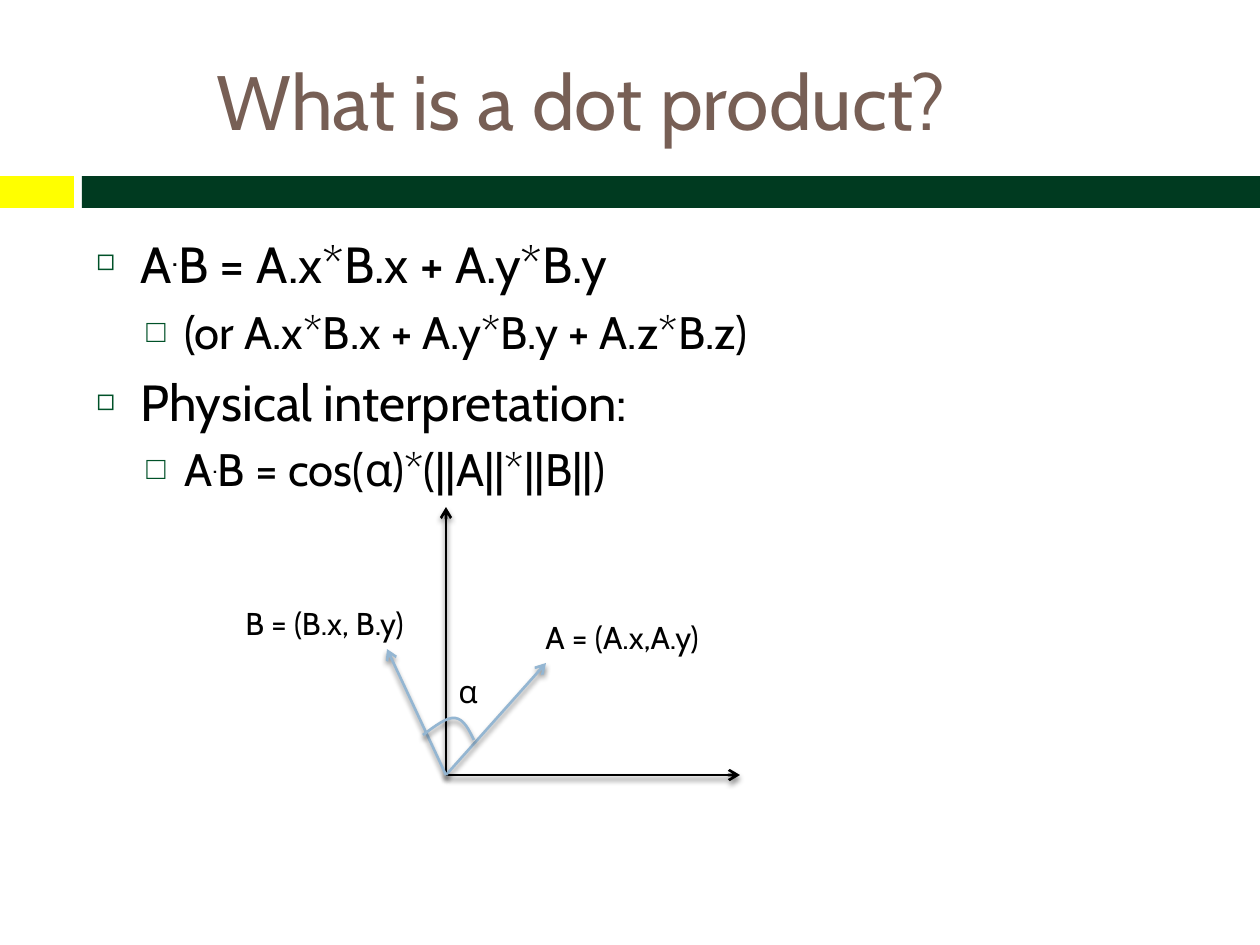
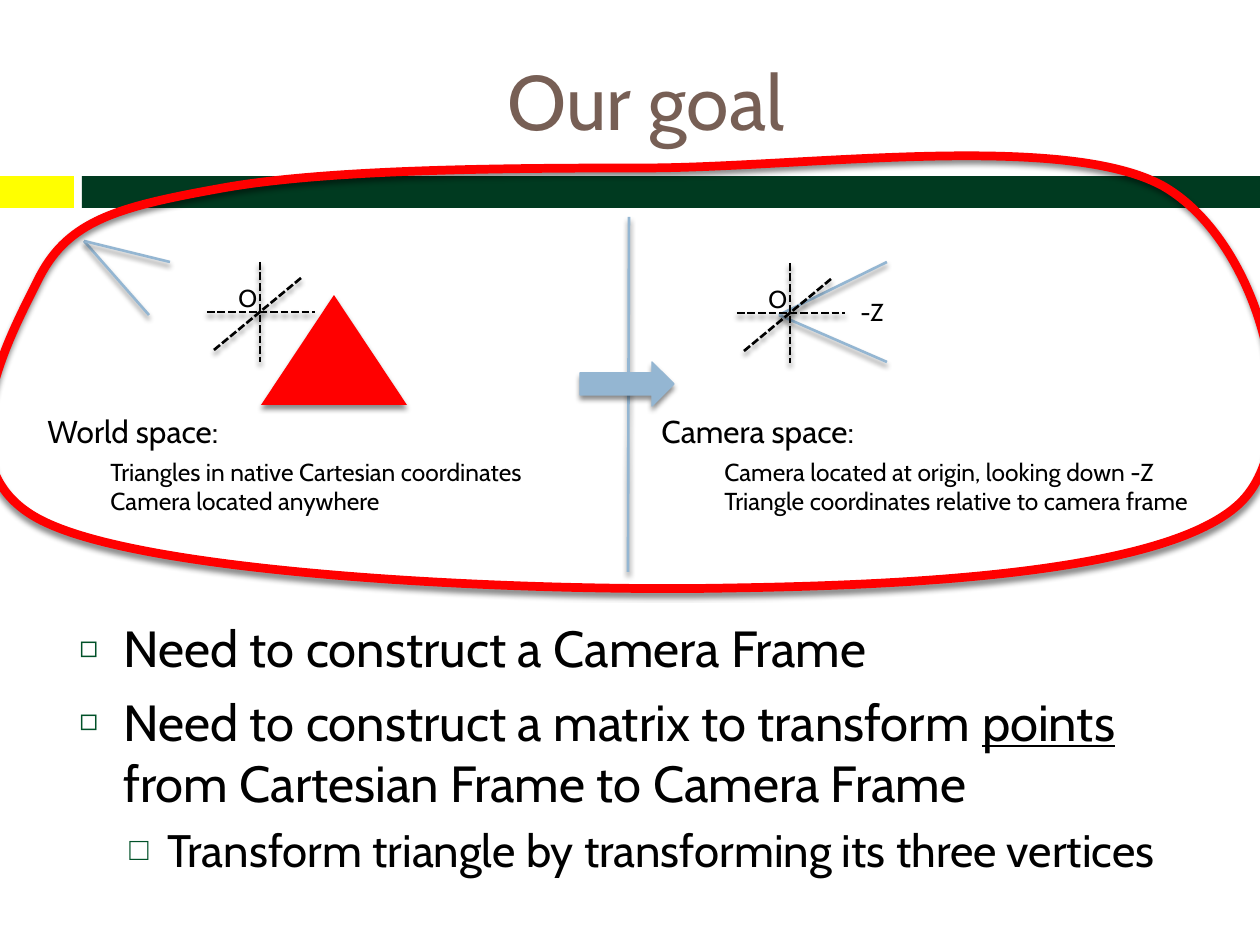
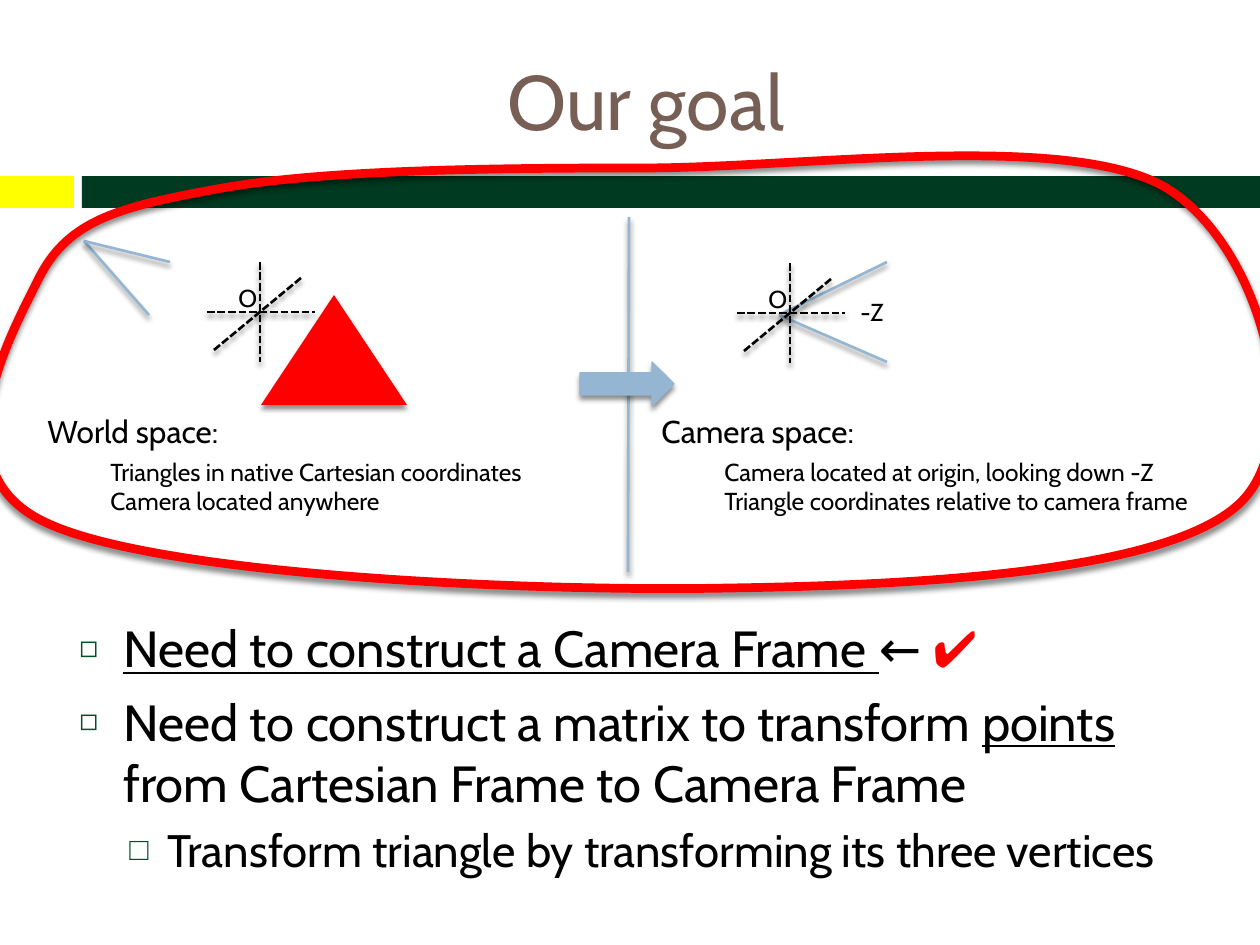
from dataclasses import dataclass
from lxml.etree import SubElement
from pptx import Presentation
from pptx.dml.color import RGBColor
from pptx.enum.dml import MSO_LINE
from pptx.enum.shapes import MSO_CONNECTOR, MSO_SHAPE
from pptx.enum.text import MSO_ANCHOR as Anchor, MSO_AUTO_SIZE as AutoSize, PP_ALIGN as Align
from pptx.oxml.ns import qn
from pptx.util import Emu, Pt

SCALE = 914400 / 126


@dataclass(frozen=True)
class Theme:
    """Colours, fonts and type sizes of the deck."""
    font: str = "Cabin"
    symbol_font: str = "Arial"
    ink: str = "000000"
    title: str = "775F55"
    band: str = "003A20"
    tab: str = "FFFF00"
    bullet: str = "005128"
    blue: str = "94B6D2"
    red: str = "FF0000"
    title_size: int = 44
    dot_size: int = 32
    body_size: int = 29
    sub_size: int = 26
    label_size: int = 18
    note_size: int = 14
    line_width: float = 1.5


THEME = Theme()


@dataclass(frozen=True)
class Box:
    """A region in px."""
    x: int
    y: int
    w: int
    h: int

    def inner(self, x, y, w, h):
        """Return a region placed relative to this one."""
        return Box(self.x + x, self.y + y, w, h)

    def point(self, x, y):
        """Return a slide point for a point inside this region."""
        return self.x + x, self.y + y

    def emu(self):
        """Return left, top, width and height in EMU."""
        return [px(value) for value in (self.x, self.y, self.w, self.h)]


@dataclass(frozen=True)
class Level:
    """Paragraph format of an outline level."""
    size: int
    indent: int = 0
    hanging: int = 0
    before: float = 0
    bullet: str = ""
    bullet_percent: int = 100


TOP = Level(THEME.body_size, 44, 44, 7, "◻", 60)
SUB = Level(THEME.sub_size, 88, 38, 5.5, "□", 70)
LABEL = Level(THEME.label_size)
NOTE = Level(THEME.note_size)
FIRST_NOTE = Level(THEME.note_size, 63, before=4)
NEXT_NOTE = Level(THEME.note_size, 63)
HEADING = Level(THEME.title_size)

DOT = (".", {"raised": 30})
BIG_DOT = (".", {"raised": 30, "size": THEME.dot_size})
FRAME_STEP = ["Need to construct a Camera Frame"]
FRAME_STEP_DONE = [
    ("Need to construct a Camera Frame ", {"underline": True}),
    "← ",
    ("✔", {"font": THEME.symbol_font, "color": THEME.red}),
]


def px(value):
    """Turn px into EMU."""
    return Emu(round(value * SCALE))


def rgb(color):
    """Turn a hex colour into an RGBColor."""
    return RGBColor.from_string(color)


def add_child(parent, tag, **attributes):
    """Append a DrawingML element."""
    return SubElement(parent, qn(tag), {key: str(value) for key, value in attributes.items()})


def set_effect(shape, shadow=True):
    """Give a shape the soft drop shadow, or none."""
    effects = add_child(shape._element.spPr, "a:effectLst")
    if shadow:
        outer = add_child(effects, "a:outerShdw", blurRad=38100, dist=30000,
                          dir=5400000, rotWithShape=0)
        add_child(add_child(outer, "a:srgbClr", val=THEME.ink), "a:alpha", val=45000)


def add_span(para, text, size, color=THEME.ink, font=THEME.font, underline=False, raised=0):
    """Add one formatted run."""
    span = para.add_run()
    span.text = text
    span.font.size = Pt(size)
    span.font.name = font
    span.font.color.rgb = rgb(color)
    if underline:
        span.font.underline = True
    if raised:
        span.font._element.set("baseline", str(raised * 1000))


def format_para(para, level, first):
    """Apply the indents, spacing and bullet of a level."""
    props = para._p.get_or_add_pPr()
    props.set("marL", str(px(level.indent)))
    props.set("indent", str(px(-level.hanging)))
    if level.bullet:
        add_child(add_child(props, "a:buClr"), "a:srgbClr", val=THEME.bullet)
        add_child(props, "a:buSzPct", val=level.bullet_percent * 1000)
        add_child(props, "a:buFont", typeface=THEME.symbol_font)
        add_child(props, "a:buChar", char=level.bullet)
    para.space_before = Pt(0 if first else level.before)


def add_text(page, box, paras, wrap=True, grow=False, align=Align.LEFT,
             anchor=Anchor.TOP, **style):
    """Add a text box from pairs of level and spans."""
    frame = page.shapes.add_textbox(*box.emu()).text_frame
    frame.word_wrap = wrap
    frame.auto_size = AutoSize.SHAPE_TO_FIT_TEXT if grow else AutoSize.NONE
    frame.vertical_anchor = anchor
    for index, (level, spans) in enumerate(paras):
        para = frame.add_paragraph() if index else frame.paragraphs[0]
        format_para(para, level, index == 0)
        para.alignment = align
        for span in spans:
            text, changes = (span, {}) if isinstance(span, str) else span
            add_span(para, text, **{"size": level.size, **style, **changes})


def add_label(page, box, text, level=NOTE):
    """Add a one-line label."""
    add_text(page, box, [(level, [text])], wrap=False, grow=True)


def add_preset(page, kind, box, fill, line_width=0, shadow=True):
    """Add a filled preset shape."""
    shape = page.shapes.add_shape(kind, *box.emu())
    shape.fill.solid()
    shape.fill.fore_color.rgb = rgb(fill)
    if line_width:
        shape.line.color.rgb = rgb(fill)
        shape.line.width = Pt(line_width)
    else:
        shape.line.fill.background()
    set_effect(shape, shadow)


def add_line(page, start, end, color=THEME.blue, dashed=False, arrow=False):
    """Add a straight line, dashed or with an arrowhead on request."""
    ends = [px(value) for value in (*start, *end)]
    connector = page.shapes.add_connector(MSO_CONNECTOR.STRAIGHT, *ends)
    connector.line.color.rgb = rgb(color)
    connector.line.width = Pt(THEME.line_width)
    if dashed:
        connector.line.dash_style = MSO_LINE.SQUARE_DOT
    if arrow:
        add_child(connector.line._get_or_add_ln(), "a:tailEnd", type="arrow")
    set_effect(connector)


def round_segments(shape):
    """Turn each three line segments of a freeform into one cubic curve."""
    segments = list(shape._element.iter(qn("a:lnTo")))
    for first in range(0, len(segments), 3):
        trio = segments[first:first + 3]
        curve = trio[0].getparent().makeelement(qn("a:cubicBezTo"))
        trio[0].addprevious(curve)
        for segment in trio:
            curve.append(segment[0])
            segment.getparent().remove(segment)


def add_curve(page, box, knots, color, width, closed=False):
    """Draw a smooth unfilled outline inside a box."""
    points = [tuple(px(value) for value in box.point(*knot)) for knot in knots]
    builder = page.shapes.build_freeform(*points[0], scale=1.0)
    builder.add_line_segments(points[1:], close=closed)
    shape = builder.convert_to_shape()
    round_segments(shape)
    shape.fill.background()
    shape.line.color.rgb = rgb(color)
    shape.line.width = Pt(width)
    set_effect(shape)


def add_page(deck, title, title_width=1124):
    """Add a slide with its band and title."""
    page = deck.slides.add_slide(deck.slide_layouts[6])
    for left, width, color in ((0, 74, THEME.tab), (82, 1178, THEME.band)):
        add_preset(page, MSO_SHAPE.RECTANGLE, Box(left, 176, width, 32), color, shadow=False)
    add_text(page, Box(84, 32, title_width, 136), [(HEADING, [title])],
             align=Align.CENTER, anchor=Anchor.MIDDLE, color=THEME.title)
    return page


def draw_vectors(page, box):
    """Draw vectors A and B with the angle between them."""
    origin = box.point(214, 268)
    for tip, color in (((508, 268), THEME.ink), ((214, 0), THEME.ink),
                       ((314, 156), THEME.blue), ((155, 142), THEME.blue)):
        add_line(page, origin, box.point(*tip), color, arrow=True)
    for left, top, width, text in ((301, 105, 205, "A = (A.x,A.y)"),
                                   (1, 91, 214, "B = (B.x, B.y)"),
                                   (214, 159, 44, "α")):
        add_label(page, box.inner(left, top, width, 50), text, LABEL)
    angle = [(191, 228), (203, 219), (215, 210), (223, 211),
             (232, 212), (237, 223), (242, 233)]
    add_curve(page, box, angle, THEME.blue, THEME.line_width)


def draw_axes(page, box):
    """Draw three dashed axes crossing at O."""
    for start, end in (((53, 0), (53, 100)), ((0, 50), (108, 50)), ((7, 88), (94, 16))):
        add_line(page, box.point(*start), box.point(*end), THEME.ink, dashed=True)
    add_label(page, box.inner(19, 15, 44, 43), "O")


def draw_space(page, box, name, notes, axes, apex, view_ends):
    """Draw one space: view lines, axes and caption."""
    for end in view_ends:
        add_line(page, box.point(*apex), box.point(*end))
    draw_axes(page, box.inner(*axes, 108, 100))
    caption = [(LABEL, [name])]
    caption += [(level, [note]) for level, note in zip((FIRST_NOTE, NEXT_NOTE), notes)]
    add_text(page, box.inner(0, 189, box.w, 118), caption, grow=True)


def draw_transform(page, box):
    """Draw world space turning into camera space inside a red loop."""
    world = box.inner(35, 49, 592, 307)
    camera = box.inner(649, 49, 592, 307)
    add_preset(page, MSO_SHAPE.ISOSCELES_TRIANGLE, world.inner(226, 78, 146, 110), THEME.red)
    draw_space(page, world, "World space:",
               ["Triangles in native Cartesian coordinates", "Camera located anywhere"],
               axes=(172, 45), apex=(49, 24), view_ends=[(114, 98), (135, 45)])
    add_line(page, box.point(629, 49), box.point(628, 404))
    draw_space(page, camera, "Camera space:",
               ["Camera located at origin, looking down -Z",
                "Triangle coordinates relative to camera frame"],
               axes=(88, 46), apex=(130, 98), view_ends=[(238, 145), (238, 45)])
    add_preset(page, MSO_SHAPE.RIGHT_ARROW, box.inner(580, 194, 94, 44), THEME.blue, 0.79)
    loop = [(643, 0), (485, 0), (318, 2), (217, 21), (117, 39), (69, 53), (40, 108),
            (13, 163), (-68, 303), (47, 355), (161, 408), (532, 424), (730, 420),
            (929, 417), (1167, 403), (1239, 336), (1310, 270), (1263, 75), (1163, 18),
            (1063, -37), (800, 0), (643, 0)]
    add_curve(page, box, loop, THEME.red, 5, closed=True)
    add_label(page, camera.inner(199, 74, 49, 43), "-Z")


def build_dot_product(deck):
    """Build the dot product slide."""
    page = add_page(deck, "What is a dot product?", 994)
    add_text(page, Box(84, 221, 1124, 620), [
        (TOP, ["A", BIG_DOT, "B = A.x*B.x + A.y*B.y"]),
        (SUB, ["(or A.x*B.x + A.y*B.y + A.z*B.z)"]),
        (TOP, ["Physical interpretation:"]),
        (SUB, ["A", DOT, "B = cos(α)*(||A||*||B||)"]),
    ])
    draw_vectors(page, Box(232, 507, 508, 268))


def build_goal(deck, frame_step):
    """Build a goal slide with the given first step."""
    page = add_page(deck, "Our goal")
    draw_transform(page, Box(0, 168, 1260, 424))
    add_text(page, Box(67, 611, 1124, 334), [
        (TOP, frame_step),
        (TOP, ["Need to construct a matrix to transform ",
               ("points", {"underline": True}),
               " from Cartesian Frame to Camera Frame"]),
        (SUB, ["Transform triangle by transforming its three vertices"]),
    ])


def main():
    """Build and save the deck."""
    deck = Presentation()
    deck.slide_width, deck.slide_height = px(1260), px(945)
    build_dot_product(deck)
    for frame_step in (FRAME_STEP, FRAME_STEP_DONE):
        build_goal(deck, frame_step)
    deck.save("out.pptx")


if __name__ == "__main__":
    main()
